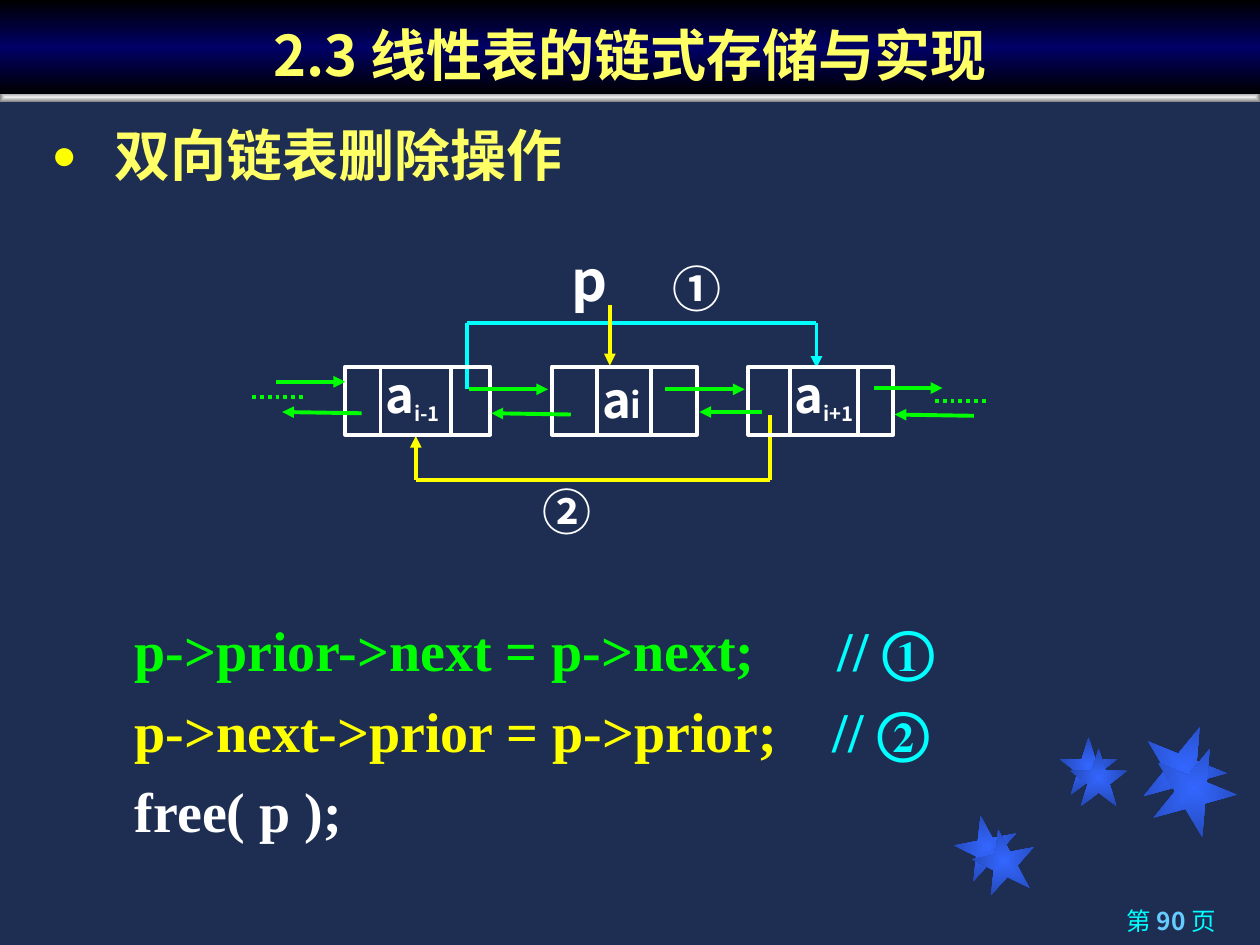
from itertools import pairwise

from lxml import etree
from pptx import Presentation
from pptx.dml.color import RGBColor
from pptx.enum.dml import MSO_LINE
from pptx.enum.shapes import MSO_CONNECTOR, MSO_SHAPE
from pptx.enum.text import MSO_ANCHOR, MSO_AUTO_SIZE, PP_ALIGN
from pptx.oxml.ns import qn
from pptx.util import Inches, Pt

STRAIGHT = MSO_CONNECTOR.STRAIGHT
RECTANGLE, STAR = MSO_SHAPE.RECTANGLE, MSO_SHAPE.STAR_5_POINT
CENTER, RIGHT = PP_ALIGN.CENTER, PP_ALIGN.RIGHT
GROW, FIXED = MSO_AUTO_SIZE.SHAPE_TO_FIT_TEXT, MSO_AUTO_SIZE.NONE
BOTTOM = MSO_ANCHOR.BOTTOM
DOTTED = MSO_LINE.ROUND_DOT

SANS, SERIF = "Noto Sans CJK SC", "Times New Roman"
WHITE, CYAN, GREEN, YELLOW, CREAM = "FFFFFF", "00FFFF", "00FF00", "FFFF00", "FFFF66"


def rgb(value):
    return RGBColor.from_string(value)


def add_element(parent, tag, **attributes):
    return etree.SubElement(parent, qn(tag), attributes)


def place(shape, left, top, width, height):
    shape.left, shape.top = Inches(left), Inches(top)
    shape.width, shape.height = Inches(width), Inches(height)


def style(paragraph, size, color, latin=SANS, east_asian=SANS, bold=True):
    font = paragraph.font
    font.size, font.bold, font.name = Pt(size), bold, latin
    font.color.rgb = rgb(color)
    if east_asian:
        defaults = paragraph._p.pPr.find(qn("a:defRPr"))
        defaults.find(qn("a:latin")).addnext(
            defaults.makeelement(qn("a:ea"), {"typeface": east_asian}))


def add_run(paragraph, text, color=None):
    run = paragraph.add_run()
    run.text = text
    if color:
        run.font.color.rgb = rgb(color)
    return run


def gradient(shape, stops, angle=None):
    shape.fill.gradient()
    fill = shape._element.spPr.find(qn("a:gradFill"))
    for child in list(fill):
        fill.remove(child)
    stop_list = add_element(fill, "a:gsLst")
    for position, color in stops:
        stop = add_element(stop_list, "a:gs", pos=str(position * 1000))
        add_element(stop, "a:srgbClr", val=color)
    if angle is None:
        center = add_element(fill, "a:path", path="shape")
        add_element(center, "a:fillToRect", l="50000", t="50000", r="50000", b="50000")
    else:
        add_element(fill, "a:lin", ang=str(angle * 60000), scaled="0")


def add_panel(slide, kind, left, top, width, height):
    panel = slide.shapes.add_shape(kind, *map(Inches, (left, top, width, height)))
    panel.shadow.inherit = False
    panel.line.fill.background()
    return panel


def add_text(slide, left, top, width, height):
    frame = slide.shapes.add_textbox(*map(Inches, (left, top, width, height))).text_frame
    frame.word_wrap, frame.auto_size = True, GROW
    return frame


def draw_route(slide, points, color, arrow=True, dash=None):
    for start, end in pairwise(points):
        link = slide.shapes.add_connector(STRAIGHT, *map(Inches, (*start, *end)))
        link.line.color.rgb, link.line.width = rgb(color), Pt(2.25)
        if dash:
            link.line.dash_style = dash
        if arrow and end == points[-1]:
            add_element(link.line._get_or_add_ln(), "a:tailEnd", type="triangle")
        add_element(link._element.spPr, "a:effectLst")


def add_title(slide, left, top, width, height):
    title = slide.shapes.title
    place(title, left, top, width, height)
    gradient(title, [(0, "000000"), (50, "000066"), (100, "000000")], 90)
    frame = title.text_frame
    frame.auto_size, frame.vertical_anchor = FIXED, BOTTOM
    paragraph = frame.paragraphs[0]
    paragraph.alignment = CENTER
    style(paragraph, 32, CREAM)
    add_run(paragraph, "2.3 线性表的链式存储与实现")
    strip = add_panel(slide, RECTANGLE, left, top + height - 0.02, width, 0.08)
    gradient(strip, [(0, "EDEDED"), (100, "808080")])
    title._element.addprevious(strip._element)


def add_heading(slide, left, top, width, height):
    heading = slide.placeholders[1]
    place(heading, left, top, width, height)
    frame = heading.text_frame
    frame.word_wrap, frame.auto_size = False, GROW
    paragraph = frame.paragraphs[0]
    properties = paragraph._p.get_or_add_pPr()
    properties.set("marL", str(Inches(0.5)))
    properties.set("indent", str(-Inches(0.5)))
    add_element(add_element(properties, "a:buClr"), "a:srgbClr", val=YELLOW)
    add_element(properties, "a:buSzPct", val="75000")
    add_element(properties, "a:buChar", char="●")
    paragraph.space_before = Pt(0)
    style(paragraph, 32, CREAM, SERIF)
    add_run(paragraph, "双向链表删除操作")


def add_stars(slide, left, top):
    for x, y, size, angle in (
        (0, 0.72, 0.5, 349), (0.83, 0.1, 0.46, 0), (1.48, 0, 0.67, 22),
        (0.14, 0.83, 0.5, 349), (0.91, 0.19, 0.46, 0), (1.56, 0.17, 0.67, 22),
    ):
        star = add_panel(slide, STAR, left + x, top + y, size, size)
        star.rotation = angle
        gradient(star, [(0, "3366FF"), (100, "2449B6")])


def add_diagram(slide, left, top):
    def route(points, color, **options):
        draw_route(slide, [(left + x, top + y) for x, y in points], color, **options)

    def label(x, y, width, text, size=28, suffix="", baseline=0):
        paragraph = add_text(slide, left + x, top + y, width, 0.61).paragraphs[0]
        style(paragraph, size, WHITE)
        add_run(paragraph, text)
        if suffix:
            index = add_run(paragraph, suffix)
            index.font.size = Pt(20)
            if baseline:
                index._r.get_or_add_rPr().set("baseline", str(baseline * 1000))

    route([(4.48, 1.02), (4.48, 0.66), (1.71, 0.66), (1.71, 1.19)][::-1], CYAN)
    route([(4.11, 1.39), (4.11, 1.91), (1.3, 1.91), (1.3, 1.56)], YELLOW)

    node_top, node_height = 1.01, 0.54
    for x, dividers in ((0.74, (0.28, 0.84)), (2.38, (0.36, 0.79)), (3.94, (0.33, 0.87))):
        node = add_panel(slide, RECTANGLE, left + x, top + node_top, 1.15, node_height)
        node.fill.background()
        node.line.color.rgb, node.line.width = rgb(WHITE), Pt(2.25)
        for offset in dividers:
            route([(x + offset, node_top), (x + offset, node_top + node_height)],
                  WHITE, arrow=False)

    for start, end in (
        ((0.19, 1.13), (0.74, 1.13)), ((1.72, 1.19), (2.35, 1.19)),
        ((3.28, 1.19), (3.91, 1.19)), ((4.94, 1.18), (5.48, 1.18)),
        ((0.87, 1.38), (0.24, 1.37)), ((2.53, 1.39), (1.9, 1.38)),
        ((4.05, 1.37), (3.55, 1.37)), ((5.73, 1.4), (5.1, 1.39)),
    ):
        route([start, end], GREEN)
    for x, y in ((0, 1.25), (5.42, 1.28)):
        route([(x, y), (x + 0.41, y)], GREEN, arrow=False, dash=DOTTED)
    route([(2.84, 0.52), (2.84, 1)], YELLOW)

    label(0.96, 0.94, 0.82, "a", suffix="i-1", baseline=-25)
    label(2.68, 0.98, 0.57, "a", suffix="i")
    label(4.21, 0.94, 0.9, "a", suffix="i+1", baseline=-25)
    label(2.44, 0, 0.49, "p", size=32)
    label(3.24, 0.1, 0.66, "①")
    label(2.21, 1.87, 0.66, "②")


def add_code(slide, left, top, width, height, lines):
    frame = add_text(slide, left, top, width, height)
    for number, (code, color, comment, tab) in enumerate(lines):
        paragraph = frame.add_paragraph() if number else frame.paragraphs[0]
        if comment:
            tabs = add_element(paragraph._p.get_or_add_pPr(), "a:tabLst")
            add_element(tabs, "a:tab", pos=str(Inches(tab)), algn="l")
        paragraph.line_spacing = 1.2
        style(paragraph, 32, color, SERIF, None)
        add_run(paragraph, code)
        if comment:
            add_run(paragraph, "\t" + comment, CYAN)


def add_page_number(slide, left, top, width, height):
    paragraph = add_text(slide, left, top, width, height).paragraphs[0]
    paragraph.alignment = RIGHT
    style(paragraph, 14, CYAN, bold=False)
    add_run(paragraph, "第 ")
    add_run(paragraph, "90 ", "66CCFF").font.bold = True
    add_run(paragraph, "页")


def main():
    deck = Presentation()
    deck.slide_width, deck.slide_height = Inches(10), Inches(7.5)
    slide = deck.slides.add_slide(deck.slide_layouts[1])
    slide.background.fill.solid()
    slide.background.fill.fore_color.rgb = rgb("1E2E53")
    add_title(slide, 0, 0, 10, 0.75)
    add_heading(slide, 0.31, 0.91, 4.31, 0.64)
    add_stars(slide, 7.58, 5.75)
    add_diagram(slide, 2, 1.9)
    add_code(slide, 0.97, 4.73, 8.41, 0.75,
             [("p->prior->next = p->next;", GREEN, "// ①", 5.58)])
    add_code(slide, 0.97, 5.37, 8.41, 1.39,
             [("p->next->prior = p->prior;", YELLOW, "// ②", 5.54),
              ("free( p );", WHITE, None, None)])
    add_page_number(slide, 7.12, 7.14, 2.63, 0.36)
    deck.save("out.pptx")


if __name__ == "__main__":
    main()
